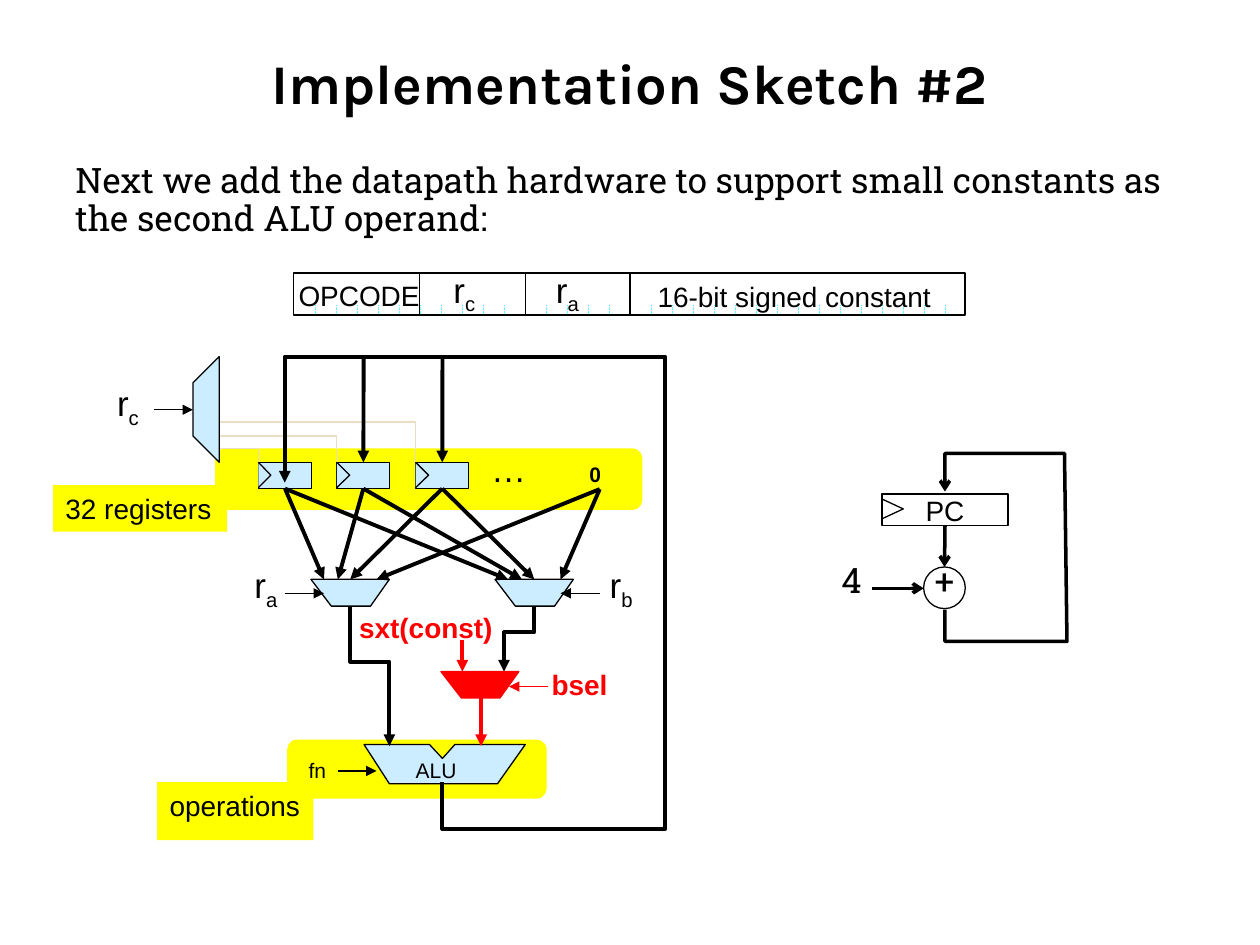
"""Build the "Implementation Sketch #2" datapath slide."""
from lxml import etree
from pptx import Presentation
from pptx import util as u
from pptx.dml.color import RGBColor
from pptx.enum import dml, shapes, text
from pptx.oxml.ns import qn

COLORS = {"black": "000000", "white": "FFFFFF", "yellow": "FFFF00", "block": "CCECFF",
          "red": "FF0000", "enable": "EBDDC3", "tick": "66FFFF"}
REG_XS = [2.05 + 0.625 * i for i in range(3)]
REG_W, REG_Y, REG_H = 0.42, 3.67, 0.21
MUX_XS, MUX_Y = (2.47, 3.93), 4.6
MUX_INPUTS = (0.1, 0.21, 0.31, 0.52)
THIN, THICK, PC_WIRE = 0.75, 2.25, 2


def cm(inches):
    """Convert inches to a rounded length in centimetres."""
    return u.Cm(round(inches * 2.54, 2))


def rgb(name):
    """Look up a named colour."""
    return RGBColor.from_string(COLORS[name])


def style(sp, fill=None, line=None, width=THIN):
    """Set the fill and outline of a shape and remove its shadow."""
    sp.shadow.inherit = False
    if fill:
        sp.fill.solid()
        sp.fill.fore_color.rgb = rgb(fill)
    else:
        sp.fill.background()
    if line:
        sp.line.color.rgb = rgb(line)
        sp.line.width = u.Pt(width)
    else:
        sp.line.fill.background()


def add_arrowhead(sp, kind):
    """Put an arrowhead at the end of a line."""
    ln = sp.line._get_or_add_ln()
    etree.SubElement(ln, qn("a:tailEnd"), type=kind)


def write(sp, words, size, sub="", font="Arial", color="black", bold=False,
          align=text.PP_ALIGN.LEFT, anchor=text.MSO_ANCHOR.TOP, wrap=False, spacing=None):
    """Write one paragraph, with an optional subscript, into a shape."""
    tf = sp.text_frame
    tf.word_wrap = wrap
    tf.vertical_anchor = anchor
    p = tf.paragraphs[0]
    p.alignment = align
    if spacing:
        p.line_spacing = spacing
    p.font.size = u.Pt(size)
    p.font.name = font
    p.font.bold = bold
    p.font.color.rgb = rgb(color)
    p.add_run().text = words
    if sub:
        r = p.add_run()
        r.text = sub
        r.font._element.set("baseline", "-25000")


def add_label(s, box, words, size, **options):
    """Add a text box."""
    sp = s.shapes.add_textbox(*map(cm, box))
    write(sp, words, size, **options)
    return sp


def add_box(s, kind, box, fill=None, line=None, width=THIN):
    """Add a preset shape."""
    sp = s.shapes.add_shape(kind, *map(cm, box))
    style(sp, fill, line, width)
    return sp


def add_path(s, points, fill=None, line="black", width=THIN, close=False, arrow=None):
    """Add an outline or a bent wire through the given points."""
    (x, y), *rest = [(cm(a), cm(b)) for a, b in points]
    builder = s.shapes.build_freeform(x, y)
    builder.add_line_segments(rest, close=close)
    sp = builder.convert_to_shape()
    style(sp, fill, line, width)
    if arrow:
        add_arrowhead(sp, arrow)
    return sp


def add_wire(s, start, end, width=THIN, color="black", arrow="triangle",
             source=None, target=None):
    """Add a straight wire, joined to source bottom or target top when given."""
    sp = s.shapes.add_connector(shapes.MSO_CONNECTOR.STRAIGHT, *map(cm, start + end))
    sp.line.color.rgb = rgb(color)
    sp.line.width = u.Pt(width)
    etree.SubElement(sp._element.spPr, qn("a:effectLst"))
    if arrow:
        add_arrowhead(sp, arrow)
    if source:
        sp.begin_connect(source, 2)
    if target:
        sp.end_connect(target, 0)
    return sp


def add_register(s, x):
    """Add a register with its clock notch."""
    sp = add_box(s, shapes.MSO_SHAPE.RECTANGLE, (x, REG_Y, REG_W, REG_H), "block", "black")
    add_path(s, [(x, REG_Y), (x + 0.1, REG_Y + 0.1), (x, REG_Y + 0.2)], "block")
    return sp


def add_mux(s, x, y, fill="block", line="black"):
    """Add a multiplexer that narrows downwards."""
    add_path(s, [(x, y), (x + 0.16, y + 0.21), (x + 0.47, y + 0.21), (x + 0.62, y)],
             fill, line, close=True)


def add_highlights(s):
    """Add the yellow areas and their captions."""
    for area, tag, words in (
            ((1.71, 3.56, 3.39, 0.49), (0.42, 3.85, 1.38, 0.37), "32 registers"),
            ((2.28, 5.87, 2.06, 0.47), (1.25, 6.21, 1.24, 0.46), "operations")):
        add_box(s, shapes.MSO_SHAPE.ROUNDED_RECTANGLE, area, "yellow")
        sp = add_label(s, tag, words, 16)
        sp.fill.solid()
        sp.fill.fore_color.rgb = rgb("yellow")


def add_register_file(s):
    """Add the registers, the read multiplexers and the write decoder."""
    registers = [add_register(s, x) for x in REG_XS]
    for x in MUX_XS:
        add_mux(s, x, MUX_Y)
    sources = [(x + REG_W / 2, sp) for x, sp in zip(REG_XS, registers)] + [(4.76, None)]
    for mux_x in MUX_XS:
        for (x, sp), offset in zip(sources, MUX_INPUTS):
            add_wire(s, (x, REG_Y + REG_H), (mux_x + offset, MUX_Y), THICK, source=sp)
    add_label(s, (3.8, 3.5, 0.6, 0.54), "…", 20)
    add_label(s, (4.58, 3.61, 0.29, 0.3), "0", 12, bold=True)
    for x, y in zip(REG_XS, (3.56, 3.46, 3.35)):
        add_path(s, [(1.74, y), (x, y), (x, REG_Y)], line="enable")
    add_path(s, [(1.74, 2.83), (1.53, 3.04), (1.53, 3.46), (1.74, 3.67)], "block", close=True)
    for (x, sp) in sources[1:3]:
        add_wire(s, (x, 2.83), (x, REG_Y), THICK, target=sp)
    for start, end in (((1.22, 3.25), (1.53, 3.25)), ((2.26, 4.71), (2.57, 4.71)),
                       ((4.76, 4.71), (4.45, 4.71))):
        add_wire(s, start, end)
    for x, y, sub in ((0.83, 2.98, "c"), (1.92, 4.42, "a"), (4.74, 4.42, "b")):
        add_label(s, (x, y, 0.4, 0.44), "r", 20, sub=sub)


def add_alu(s):
    """Add the ALU, its operand wires and the write-back loop."""
    add_path(s, [(2.89, 5.91), (3.09, 6.22), (3.95, 6.22), (4.17, 5.91), (3.61, 5.91),
                 (3.51, 6.02), (3.41, 5.91)], "block", close=True)
    for route in ([(2.78, 4.81), (2.78, 5.25), (3.09, 5.25), (3.09, 5.92)],
                  [(4.24, 4.81), (4.24, 5.02), (4, 5.02), (4, 5.33)],
                  [(3.51, 6.21), (3.51, 6.58), (5.28, 6.58), (5.28, 2.83), (2.26, 2.83),
                   (2.26, 3.83)]):
        add_path(s, route, width=THICK, arrow="triangle")
    add_wire(s, (2.68, 6.12), (2.99, 6.12))
    add_label(s, (2.35, 5.96, 0.42, 0.37), "fn", 12)
    add_label(s, (3.2, 5.96, 0.6, 0.37), "ALU", 12)


def add_constant_operand(s):
    """Add the red selector for the constant operand."""
    add_mux(s, 3.5, 5.33, "red", "red")
    add_wire(s, (4.35, 5.45), (4.04, 5.45), color="red")
    add_wire(s, (3.82, 5.54), (3.82, 5.92), THICK, "red")
    add_wire(s, (3.67, 5.08), (3.67, 5.33), THICK, "red")
    add_label(s, (4.28, 5.25, 0.65, 0.37), "bsel", 16, color="red", bold=True)
    add_label(s, (2.75, 4.8, 1.27, 0.37), "sxt(const)", 16, color="red", bold=True)


def add_program_counter(s):
    """Add the program counter and its increment loop."""
    pc = add_box(s, shapes.MSO_SHAPE.RECTANGLE, (7, 3.92, 1, 0.25), "white", "black")
    write(pc, "PC", 16, align=text.PP_ALIGN.CENTER, anchor=text.MSO_ANCHOR.MIDDLE)
    add_path(s, [(7, 3.96), (7.17, 4.04), (7, 4.12)])
    adder = add_box(s, shapes.MSO_SHAPE.OVAL, (7.33, 4.5, 0.33, 0.33), line="black")
    add_wire(s, (7.5, 4.17), (7.5, 4.5), PC_WIRE, arrow="arrow", source=pc, target=adder)
    add_wire(s, (6.92, 4.67), (7.33, 4.67), PC_WIRE, arrow="arrow")
    for x, y, words in ((6.58, 4.42, "4"), (7.32, 4.43, "+")):
        add_label(s, (x, y, 0.38, 0.44), words, 20, font="Roboto Slab", spacing=0.9)
    add_path(s, [(7.5, 4.84), (7.5, 5.09), (8.47, 5.09), (8.45, 3.6), (7.5, 3.6), (7.5, 3.9)],
             width=PC_WIRE, arrow="arrow")


def add_instruction(s):
    """Add the instruction format with its bit ticks and fields."""
    for i in range(31):
        x = 2.5 + i / 6
        tick = add_wire(s, (x, 2.5), (x, 2.42), 0.25, "tick", arrow=None)
        tick.line.dash_style = dml.MSO_LINE.LONG_DASH
    add_box(s, shapes.MSO_SHAPE.RECTANGLE, (2.33, 2.17, 5.33, 0.33), line="black", width=1)
    for x in (3.33, 4.17, 5):
        add_wire(s, (x, 2.17), (x, 2.5), arrow=None)
    center = text.PP_ALIGN.CENTER
    add_label(s, (2.27, 2.16, 1.17, 0.37), "OPCODE", 16)
    add_label(s, (3.5, 2.08, 0.42, 0.43), "r", 20, sub="c", wrap=True)
    add_label(s, (4.17, 2.08, 0.67, 0.43), "r", 20, sub="a", align=center, wrap=True)
    add_label(s, (5, 2.17, 2.67, 0.37), "16-bit signed constant ", 16, align=center, wrap=True)


def main():
    """Build and save the slide."""
    prs = Presentation()
    prs.slide_width, prs.slide_height = u.Cm(25.4), u.Cm(19.05)
    s = prs.slides.add_slide(prs.slide_layouts[6])
    add_highlights(s)
    add_label(s, (0.5, 0.3, 9, 0.7), "Implementation Sketch #2", 32, font="Karla", bold=True,
              align=text.PP_ALIGN.CENTER, anchor=text.MSO_ANCHOR.MIDDLE, wrap=True)
    add_label(s, (0.5, 1.25, 9, 0.77), "Next we add the datapath hardware to support small "
              "constants as the second ALU operand:", 20, font="Roboto Slab", wrap=True,
              spacing=0.9)
    add_register_file(s)
    add_alu(s)
    add_program_counter(s)
    add_instruction(s)
    add_constant_operand(s)
    prs.save("out.pptx")


if __name__ == "__main__":
    main()
